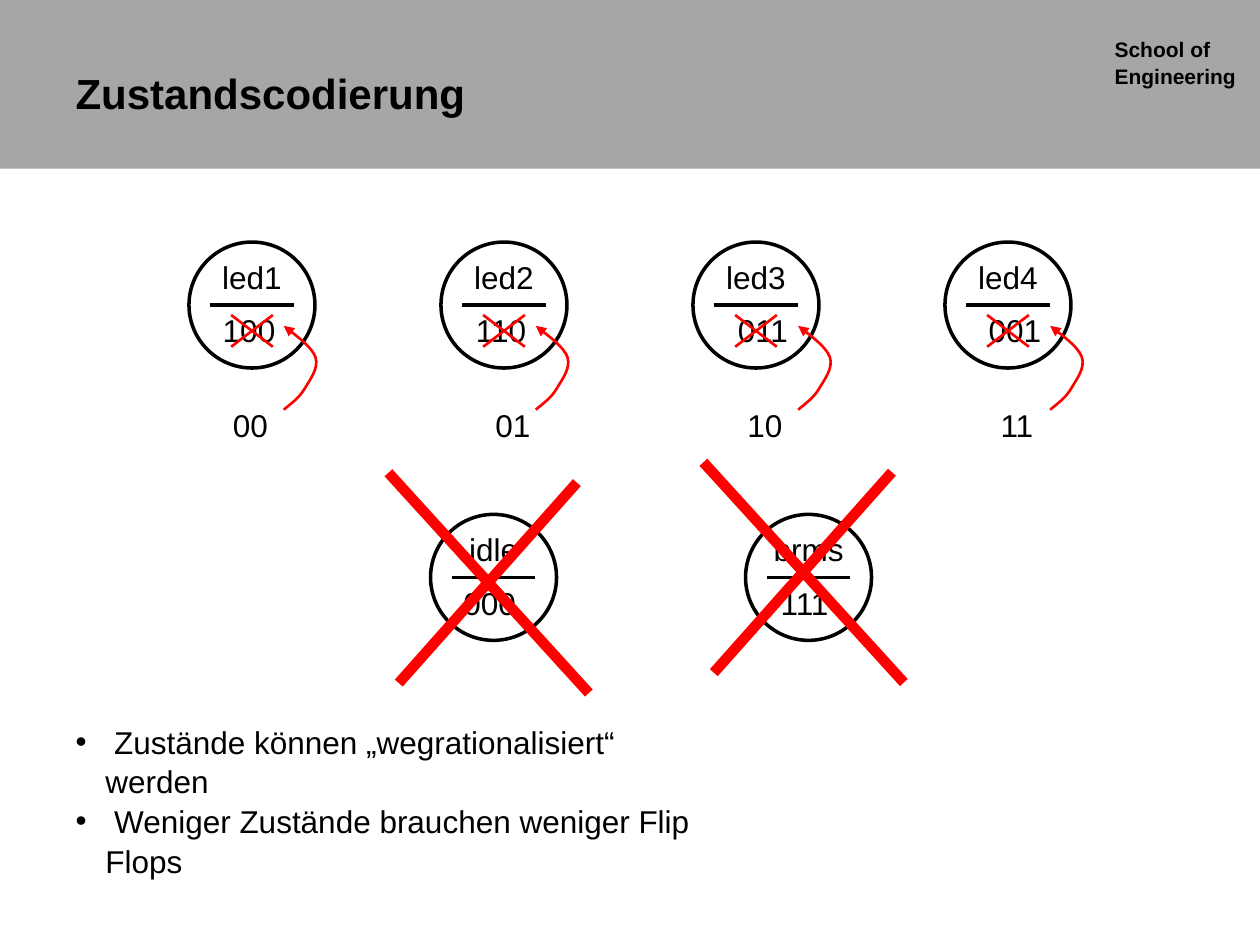
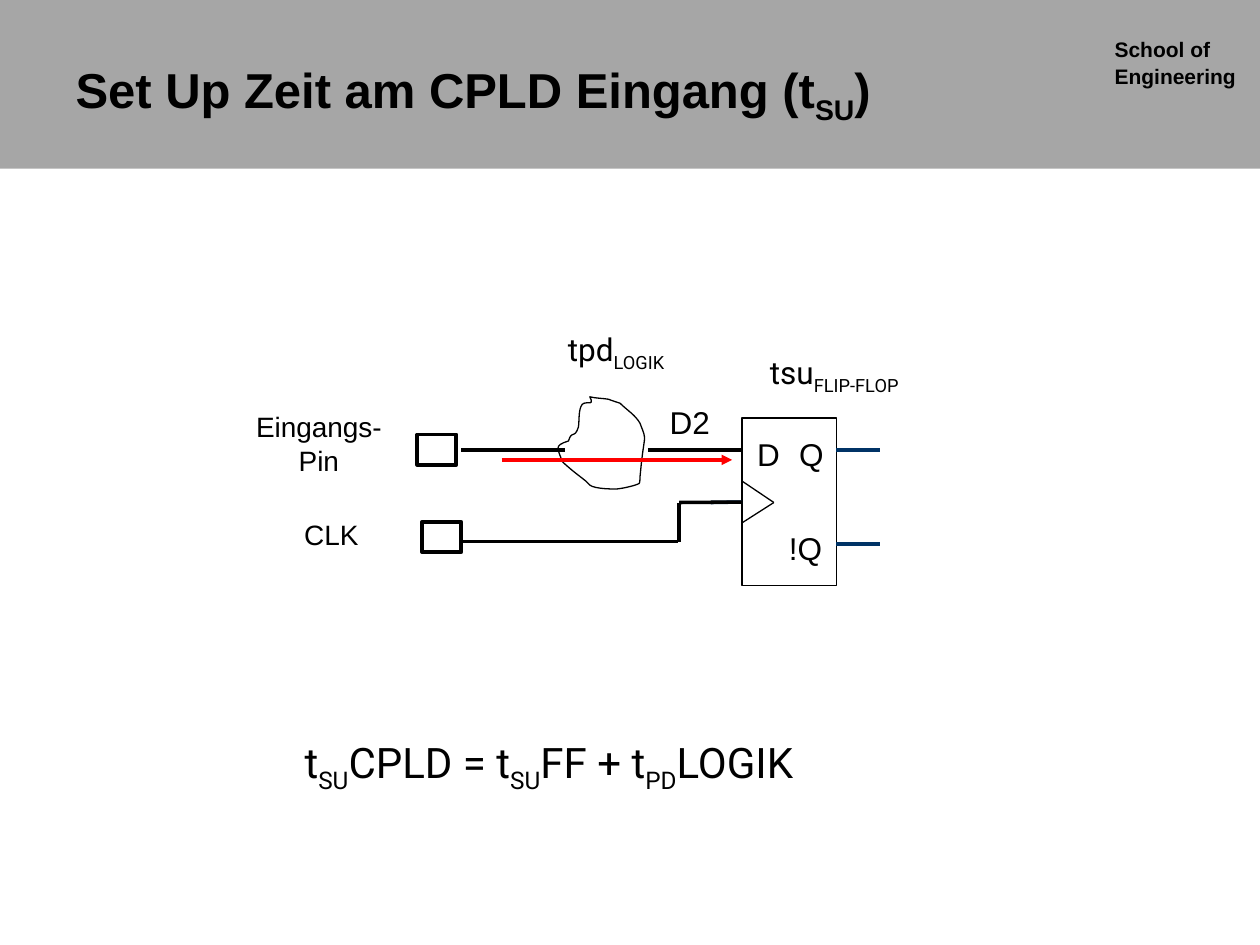
"""Builds two lecture slides on state coding and the set-up time at a CPLD input."""
from dataclasses import dataclass

from lxml import etree
from pptx import Presentation
from pptx.dml.color import RGBColor
from pptx.enum import shapes, text
from pptx.oxml.ns import qn
from pptx.util import Cm, Pt


@dataclass(frozen=True)
class Theme:
    black: str = "000000"
    white: str = "FFFFFF"
    band: str = "A6A6A6"
    red: str = "FF0000"
    navy: str = "003366"
    face: str = "Arial"
    formula_face: str = "Roboto"
    title: int = 24
    long_title: int = 28
    formula: int = 24
    label: int = 18
    pin: int = 16
    school: int = 12


theme = Theme()
LEFT, CENTER = text.PP_ALIGN.LEFT, text.PP_ALIGN.CENTER


def write(slide, words, box=None, holder=None, size=theme.label, face=theme.face,
          bold=False, align=CENTER, spacing=1.0, bullet=None):
    """Write words into a placeholder or a new text box; every second part between | is subscript."""
    holder = holder or slide.shapes.add_textbox(*map(Cm, box))
    frame = holder.text_frame
    frame.word_wrap = True
    frame.auto_size = text.MSO_AUTO_SIZE.NONE
    for number, line in enumerate(words.split("\n")):
        paragraph = frame.add_paragraph() if number else frame.paragraphs[0]
        paragraph.alignment = align
        paragraph.line_spacing = spacing
        paragraph.space_before = Pt(0)
        if bullet:
            properties = paragraph._p.get_or_add_pPr()
            properties.set("marL", str(Cm(0.6)))
            properties.set("indent", str(-Cm(0.6)))
            etree.SubElement(properties, qn("a:buFont")).set("typeface", theme.face)
            etree.SubElement(properties, qn("a:buChar")).set("char", bullet)
        for part, piece in enumerate(line.split("|")):
            run = paragraph.add_run()
            run.text = piece
            run.font.name, run.font.size, run.font.bold = face, Pt(size), bold
            run.font.color.rgb = RGBColor.from_string(theme.black)
            if part % 2:
                run._r.get_or_add_rPr().set("baseline", "-25000")
    return holder


def stroke(slide, points, color=theme.black, width=2, arrow=False):
    """Draw a straight connector through two points, or a chain of Bézier curves through more."""
    if len(points) == 2:
        mark = slide.shapes.add_connector(
            shapes.MSO_CONNECTOR.STRAIGHT, *(Cm(value) for point in points for value in point))
    else:
        trace = []
        for first in range(0, len(points) - 1, 3):
            curve = points[first:first + 4]
            for t in (step / 8 for step in range(1, 9)):
                weights = ((1 - t) ** 3, 3 * t * (1 - t) ** 2, 3 * t * t * (1 - t), t ** 3)
                trace.append([Cm(sum(w * point[axis] for w, point in zip(weights, curve)))
                              for axis in (0, 1)])
        builder = slide.shapes.build_freeform(*map(Cm, points[0]))
        builder.add_line_segments(trace, close=points[0] == points[-1])
        mark = builder.convert_to_shape()
        mark.fill.background()
    mark.line.color.rgb = RGBColor.from_string(color)
    mark.line.width = Pt(width)
    properties = mark.element.spPr
    if arrow:
        etree.SubElement(properties.find(qn("a:ln")), qn("a:tailEnd")).set("type", "triangle")
    if properties.find(qn("a:effectLst")) is None:
        etree.SubElement(properties, qn("a:effectLst"))
    return mark


deck = Presentation()
deck.slide_width, deck.slide_height = Cm(25.4), Cm(19.05)
coding = deck.slides.add_slide(deck.slide_layouts[1])
setup = deck.slides.add_slide(deck.slide_layouts[5])
outlined = []

master = deck.slide_master
heading = master.placeholders[0]
heading.left, heading.top, heading.width, heading.height = map(Cm, (1.27, 0.76, 17.37, 2.21))
heading.text_frame.vertical_anchor = text.MSO_ANCHOR.MIDDLE
band = coding.shapes.add_shape(shapes.MSO_SHAPE.RECTANGLE, 0, 0, deck.slide_width, Cm(3.4))
outlined.append((band, theme.band, 0))
school = write(coding, "School of\nEngineering", (22.22, 0.58, 3.18, 1.27),
               size=theme.school, bold=True, align=LEFT, spacing=1.07)
for place, shared in enumerate((band, school), start=2):
    master.shapes.element.insert(place, shared.element)

for slide, title, size in (
        (coding, "Zustandscodierung", theme.title),
        (setup, "Set Up Zeit am CPLD Eingang (t|SU|)", theme.long_title)):
    write(slide, title, holder=slide.shapes.title, size=size, bold=True, align=LEFT)

DIAMETER = 2.54
kept = [("led1", "100", "00", -0.06, -0.03, 1.91),
        ("led2", "110", "01", -0.06, 0.18, 1.91),
        ("led3", "011", "10", 0.14, 0.18, 2.12),
        ("led4", "001", "11", 0.14, 0.18, 2.12)]
dropped = [("idle", "000", 8.68, 0), ("brms", "111", 15.03, 0.21)]
states = [(name, code, 3.81 + 5.08 * column, 4.88, shift)
          for column, (name, code, _, shift, _, _) in enumerate(kept)]
states += [(name, code, x, 10.37, -0.08) for name, code, x, _ in dropped]

for name, code, x, y, shift in states:
    circle = coding.shapes.add_shape(
        shapes.MSO_SHAPE.OVAL, *map(Cm, (x, y, DIAMETER, DIAMETER)))
    outlined.append((circle, theme.white, 2))
    stroke(coding, [(x + 0.43, y + 1.27), (x + 2.11, y + 1.27)])
    write(coding, name, (x, y + 0.2, DIAMETER, 1.02))
    write(coding, code, (x + shift, y + 1.27, DIAMETER, 1.02))

swing = [(0, 0), (0.16, -0.13), (0.32, -0.25), (0.42, -0.42), (0.53, -0.61),
         (0.71, -0.83), (0.64, -1.06), (0.56, -1.27), (0.28, -1.47), (0, -1.69)]
for (_, _, new_code, _, shift, start), (_, _, x, y, _) in zip(kept, states):
    write(coding, new_code, (x + shift, y + 3.18, DIAMETER, 1.02))
    for left, right in ((1.47, 2.11), (2.11, 1.47)):
        stroke(coding, [(x + 0.85, y + left), (x + 1.69, y + right)], theme.red, 1.5)
    stroke(coding, [(x + start + dx, y + 3.38 + dy) for dx, dy in swing],
           theme.red, 1.5, arrow=True)

for _, _, x, rise in dropped:
    y = 10.37 - rise
    stroke(coding, [(x - 0.85, y - 0.84), (x + 3.19, y + 3.6)], theme.red, 6)
    stroke(coding, [(x - 0.64, y + 3.4), (x + 2.95, y - 0.64)], theme.red, 6)

findings = coding.placeholders[1]
findings.left, findings.top, findings.width, findings.height = map(Cm, (1.27, 14.4, 13.26, 3.3))
write(coding, " Zustände können „wegrationalisiert“ werden\n"
      " Weniger Zustände brauchen weniger Flip Flops",
      holder=findings, align=LEFT, spacing=1.05, bullet="•")

blocks = [((14.96, 8.43, 1.9, 3.38), 0.75),
          ((8.41, 8.76, 0.79, 0.61), 2.25),
          ((8.51, 10.52, 0.79, 0.61), 2.25)]
for box, width in blocks:
    block = setup.shapes.add_shape(shapes.MSO_SHAPE.RECTANGLE, *map(Cm, box))
    outlined.append((block, None, width))
flip_flop = outlined[-len(blocks)][0]

logic_cloud = [
    (11.89, 8), (12.01, 8.03), (12.14, 8.03), (12.27, 8.05), (12.34, 8.08), (12.5, 8.13),
    (12.5, 8.13), (12.65, 8.28), (12.8, 8.36), (12.9, 8.53), (13.06, 8.94), (12.98, 8.69),
    (12.9, 9.63), (12.9, 9.68), (12.9, 9.73), (12.88, 9.75), (12.78, 9.8), (12.5, 9.86),
    (12.4, 9.86), (12.37, 9.86), (11.99, 9.86), (11.89, 9.78), (11.86, 9.75), (11.84, 9.73),
    (11.81, 9.7), (11.66, 9.58), (11.48, 9.45), (11.33, 9.3), (11.25, 9.04), (11.15, 8.99),
    (11.46, 8.89), (11.53, 8.66), (11.58, 8.86), (11.66, 8.61), (11.68, 8.48), (11.66, 8.33),
    (11.71, 8.2), (11.76, 8.03), (12.01, 8.23), (11.89, 8)]
stroke(setup, logic_cloud, width=0.75)

data_input, clock_input, clock_tip = (14.96, 9.07), (14.96, 10.13), (15.6, 10.13)
wires = [((16.86, 9.07), (17.73, 9.07), theme.navy, 2),
         ((16.86, 10.97), (17.73, 10.97), theme.navy, 2),
         ((14.33, 9.07), data_input, theme.navy, 2),
         ((14.33, 10.13), clock_input, theme.navy, 2),
         ((14.96, 9.7), clock_tip, theme.black, 0.75),
         ((14.96, 10.54), clock_tip, theme.black, 0.75),
         ((13.06, 9.07), data_input, theme.black, 2),
         ((9.3, 9.07), (11.38, 9.07), theme.black, 2),
         ((9.3, 10.92), (13.67, 10.92), theme.black, 2),
         ((13.69, 10.92), (13.69, 10.13), theme.black, 2),
         ((13.69, 10.13), clock_input, theme.black, 2)]
for start, end, color, width in wires:
    wire = stroke(setup, [start, end], color, width)
    if end == clock_input:
        wire.end_connect(flip_flop, 1)
stroke(setup, [(10.11, 9.27), (14.76, 9.27)], theme.red, arrow=True)

for signal, box in (("D", (14.96, 8.64, 1.07, 1.02)), ("Q", (15.82, 8.64, 1.07, 1.02)),
                    ("!Q", (15.39, 10.54, 1.7, 1.02)), ("D2", (12.42, 8, 2.97, 1.02))):
    write(setup, signal, box)
for pin, box in (("Eingangs-\nPin", (4.68, 8.13, 3.5, 1.6)),
                 ("CLK", (5.31, 10.31, 2.74, 0.94))):
    write(setup, pin, box, size=theme.pin)
for term, box, size in (
        ("tpd|LOGIK", (11.2, 6.53, 3.5, 1.12), theme.label),
        ("tsu|FLIP-FLOP", (15.27, 6.99, 4, 1.12), theme.label),
        ("t|SU|CPLD = t|SU|FF + t|PD|LOGIK", (5.89, 14.73, 12, 1.42), theme.formula)):
    write(setup, term, box, size=size, face=theme.formula_face, align=LEFT)

for figure, fill, width in outlined:
    figure.shadow.inherit = False
    if fill:
        figure.fill.solid()
        figure.fill.fore_color.rgb = RGBColor.from_string(fill)
    else:
        figure.fill.background()
    if width:
        figure.line.color.rgb = RGBColor.from_string(theme.black)
        figure.line.width = Pt(width)
    else:
        figure.line.fill.background()

deck.save("out.pptx")
